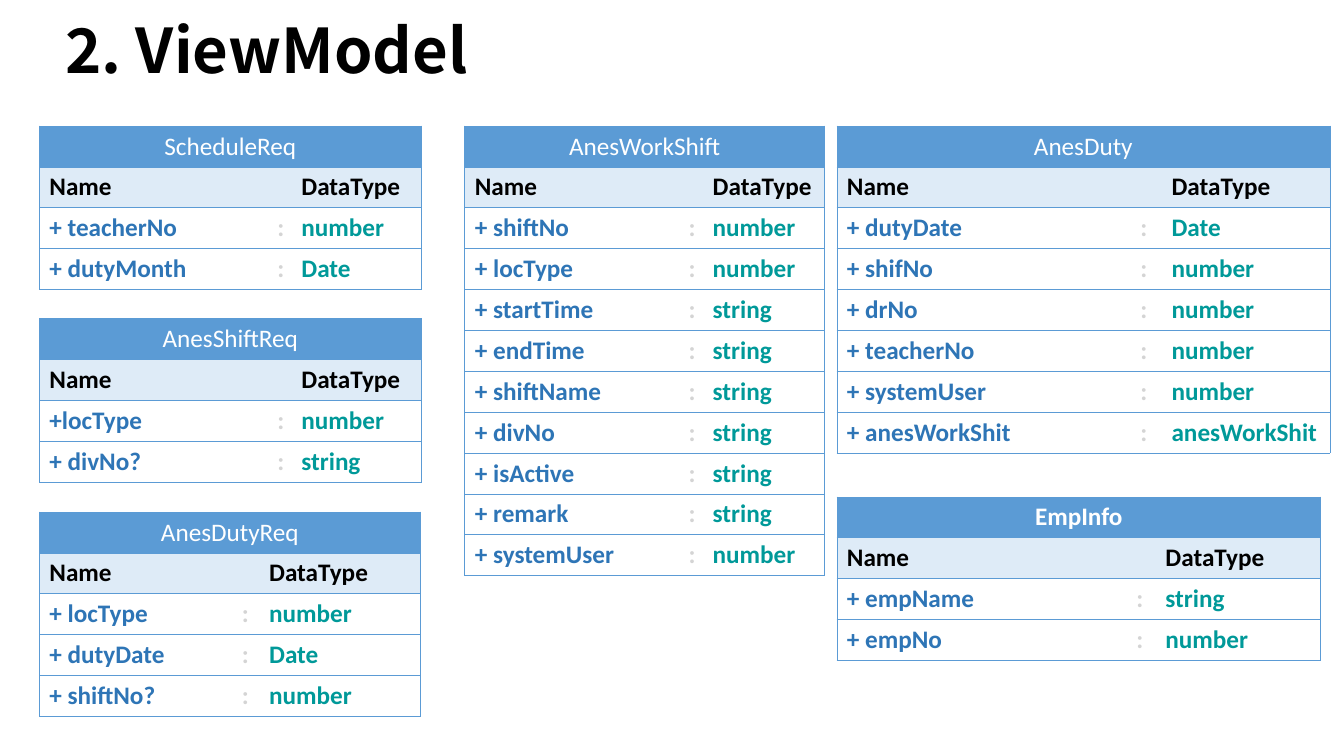
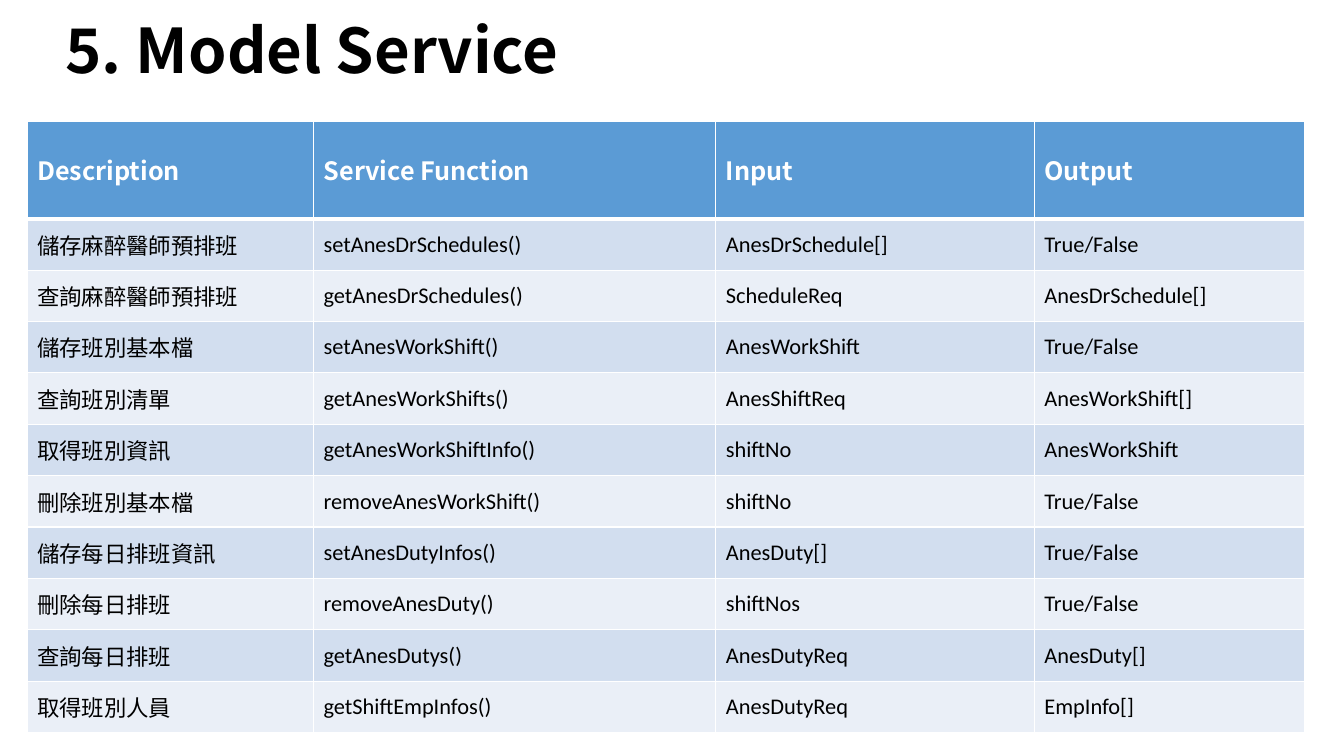
import pptx
import pptx.util
import pptx.dml.color
import pptx.enum.text
import pptx.oxml.ns
from lxml import etree

Inches = pptx.util.Inches
Pt = pptx.util.Pt
qn = pptx.oxml.ns.qn

# Shared formats
COLORS = {
    "black": "000000", "white": "FFFFFF", "header": "5B9BD5",
    "subheader": "DEEBF7", "member": "2E75B6", "separator": "D4D4D4",
    "type": "009999", "band_dark": "D2DEEF", "band_light": "EAEFF7",
}
LATIN, CJK = "Calibri", "Noto Sans CJK SC"
NO_STYLE_NO_GRID = "{2D5ABB26-0587-4C30-8999-92F81FD0307C}"
MIDDLE = pptx.enum.text.MSO_ANCHOR.MIDDLE
LEFT = pptx.enum.text.PP_ALIGN.LEFT
CENTER = pptx.enum.text.PP_ALIGN.CENTER


def text_format(color, size=18, bold=True, name=LATIN):
    return {"color": color, "size": Pt(size), "bold": bold, "name": name}


FORMATS = {
    "title": text_format("black", 44, name=CJK),
    "class_name": text_format("white", bold=False),
    "class_name_bold": text_format("white"),
    "column_name": text_format("black"),
    "member": text_format("member"),
    "separator": text_format("separator"),
    "type": text_format("type"),
    "service_header": text_format("white", name=CJK),
    "service_description": text_format("black", 16, False, CJK),
    "service_code": text_format("black", 16, False),
}
TITLE_BOX = (0.55, 0.14, 12.17, 0.78)


def write_text(text_frame, text, format_name, alignment=LEFT):
    paragraph = text_frame.paragraphs[0]
    paragraph.alignment = alignment
    run = paragraph.add_run()
    run.text = text
    for attribute, value in FORMATS[format_name].items():
        if attribute == "color":
            run.font.color.rgb = pptx.dml.color.RGBColor.from_string(COLORS[value])
        else:
            setattr(run.font, attribute, value)
    # East Asian typeface follows the latin one
    run.font._element.find(qn("a:latin")).addnext(
        etree.Element(qn("a:ea"), typeface=CJK))
    return paragraph


def style_cell(cell, fill, border, widths):
    """Draw the sides named in widths (L, R, T, B, in points), then fill."""
    properties = cell._tc.get_or_add_tcPr()
    for side in "LRTB":
        if side in widths:
            line = etree.SubElement(properties, qn("a:ln" + side),
                                    w=str(int(Pt(widths[side]))))
            solid = etree.SubElement(line, qn("a:solidFill"))
            etree.SubElement(solid, qn("a:srgbClr"), val=COLORS[border])
    if fill:
        cell.fill.solid()
        cell.fill.fore_color.rgb = pptx.dml.color.RGBColor.from_string(COLORS[fill])
    else:
        cell.fill.background()


def add_plain_table(slide, left, top, columns, rows):
    frame = slide.shapes.add_table(
        len(rows), len(columns), Inches(left), Inches(top),
        Inches(sum(columns)), Inches(sum(rows)))
    table = frame.table
    table.horz_banding = False
    table._tbl.tblPr.find(qn("a:tableStyleId")).text = NO_STYLE_NO_GRID
    for column, width in zip(table.columns, columns):
        column.width = Inches(width)
    for row, height in zip(table.rows, rows):
        row.height = Inches(height)
    return table


def add_titled_slide(presentation, title):
    slide = presentation.slides.add_slide(presentation.slide_layouts[5])
    shape = slide.shapes.title
    for attribute, value in zip(("left", "top", "width", "height"), TITLE_BOX):
        setattr(shape, attribute, Inches(value))
    shape.text_frame.auto_size = pptx.enum.text.MSO_AUTO_SIZE.NONE
    shape.text_frame.vertical_anchor = MIDDLE
    write_text(shape.text_frame, title, "title").line_spacing = 0.9
    return slide


# Class tables: name bar, column names, then one row for each member
def add_class_table(slide, left, top, columns, name, members,
                    name_format="class_name"):
    table = add_plain_table(slide, left, top, columns, [0.4] * (len(members) + 2))
    table.cell(0, 0).merge(table.cell(0, 2))
    write_text(table.cell(0, 0).text_frame, name, name_format, CENTER)
    for column, text in ((0, "Name"), (2, "DataType")):
        write_text(table.cell(1, column).text_frame, text, "column_name")
    for row, (member, data_type) in enumerate(members, start=2):
        for column, (text, format_name) in enumerate(
                ((member, "member"), (":", "separator"), (data_type, "type"))):
            write_text(table.cell(row, column).text_frame, text, format_name)

    fills = ["header", "subheader"] + [None] * len(members)
    for row, fill in enumerate(fills):
        for column in range(3):
            sides = "TB"
            if column == 0:
                sides += "L"
            if column == 2 or (row == 0 and column == 0):
                sides += "R"
            style_cell(table.cell(row, column), fill, "header",
                       dict.fromkeys(sides, 0.5))


# Service table: tall header over banded rows
def add_service_table(slide, left, top, columns, headers, services):
    table = add_plain_table(slide, left, top, columns,
                            [0.97] + [0.51] * len(services))
    for row, texts in enumerate([headers] + services):
        if row == 0:
            fill = "header"
        else:
            fill = "band_dark" if row % 2 else "band_light"
        widths = {"L": 1, "R": 1, "T": 3 if row == 1 else 1,
                  "B": 3 if row == 0 else 1}
        for column, text in enumerate(texts):
            cell = table.cell(row, column)
            cell.vertical_anchor = MIDDLE
            if row == 0:
                format_name = "service_header"
            else:
                format_name = "service_code" if column else "service_description"
            write_text(cell.text_frame, text, format_name)
            style_cell(cell, fill, "white", widths)


def build_view_model(presentation):
    slide = add_titled_slide(presentation, "2. ViewModel")
    # Requests
    request_left, request_columns = 0.39, (2.26, 0.23, 1.29)
    add_class_table(slide, request_left, 1.25, request_columns, "ScheduleReq", [
        ("+ teacherNo", "number"), ("+ dutyMonth", "Date")])
    add_class_table(slide, request_left, 3.16, request_columns, "AnesShiftReq", [
        ("+locType", "number"), ("+ divNo?", "string")])
    add_class_table(slide, request_left, 5.08, (1.91, 0.27, 1.6), "AnesDutyReq", [
        ("+ locType", "number"), ("+ dutyDate", "Date"), ("+ shiftNo?", "number")])
    # Work shift
    add_class_table(slide, 4.61, 1.25, (2.12, 0.23, 1.21), "AnesWorkShift", [
        ("+ shiftNo", "number"), ("+ locType", "number"),
        ("+ startTime", "string"), ("+ endTime", "string"),
        ("+ shiftName", "string"), ("+ divNo", "string"),
        ("+ isActive", "string"), ("+ remark", "string"),
        ("+ systemUser", "number")])
    # Duty and employee
    duty_left = 8.3
    add_class_table(slide, duty_left, 1.25, (2.91, 0.31, 1.67), "AnesDuty", [
        ("+ dutyDate", "Date"), ("+ shifNo", "number"), ("+ drNo", "number"),
        ("+ teacherNo", "number"), ("+ systemUser", "number"),
        ("+ anesWorkShit", "anesWorkShit")])
    add_class_table(slide, duty_left, 4.93, (2.87, 0.29, 1.64), "EmpInfo", [
        ("+ empName", "string"), ("+ empNo", "number")], "class_name_bold")


def build_model_service(presentation):
    slide = add_titled_slide(presentation, "5. Model Service")
    headers = ("Description", "Service Function", "Input", "Output")
    services = [
        ("儲存麻醉醫師預排班", "setAnesDrSchedules()", "AnesDrSchedule[]", "True/False"),
        ("查詢麻醉醫師預排班", "getAnesDrSchedules()", "ScheduleReq", "AnesDrSchedule[]"),
        ("儲存班別基本檔", "setAnesWorkShift()", "AnesWorkShift", "True/False"),
        ("查詢班別清單", "getAnesWorkShifts()", "AnesShiftReq", "AnesWorkShift[]"),
        ("取得班別資訊", "getAnesWorkShiftInfo()", "shiftNo", "AnesWorkShift"),
        ("刪除班別基本檔", "removeAnesWorkShift()", "shiftNo", "True/False"),
        ("儲存每日排班資訊", "setAnesDutyInfos()", "AnesDuty[]", "True/False"),
        ("刪除每日排班", "removeAnesDuty()", "shiftNos", "True/False"),
        ("查詢每日排班", "getAnesDutys()", "AnesDutyReq", "AnesDuty[]"),
        ("取得班別人員", "getShiftEmpInfos()", "AnesDutyReq", "EmpInfo[]"),
    ]
    add_service_table(slide, 0.27, 1.2, (2.84, 3.99, 3.16, 2.68), headers, services)


presentation = pptx.Presentation()
presentation.slide_width = Inches(13.33)
presentation.slide_height = Inches(7.5)
build_view_model(presentation)
build_model_service(presentation)
presentation.save("out.pptx")
